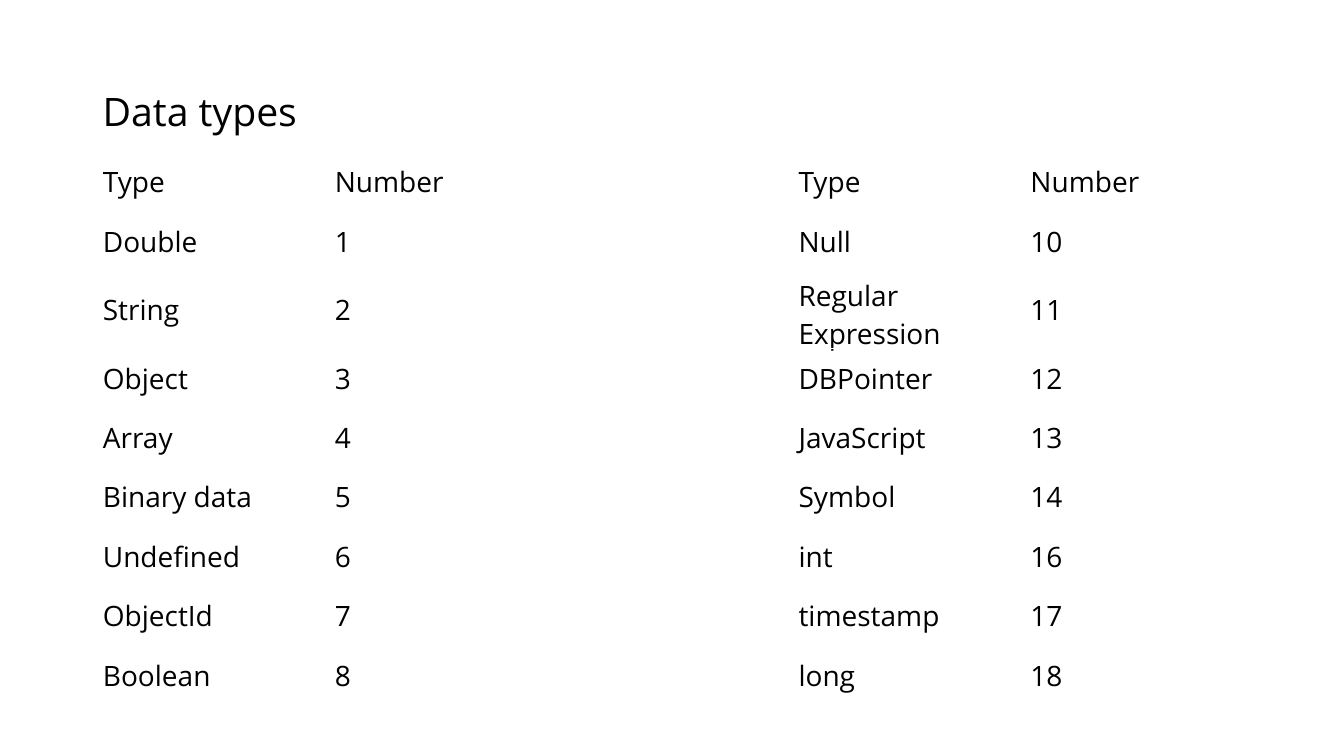
from dataclasses import dataclass
from typing import Any, NamedTuple

from pptx import Presentation
from pptx.dml.color import RGBColor as Color
from pptx.enum.text import MSO_ANCHOR as Anchor
from pptx.util import Inches, Pt


@dataclass(frozen=True)
class Theme:
    font: str = "Open Sans"
    ink: str = "000000"
    title: int = 28
    body: int = 20


@dataclass(frozen=True)
class Grid:
    left: float = 0.92
    top: float = 1.51
    col: float = 2.3
    row: float = 0.59
    cols: int = 5

    @property
    def width(self) -> float:
        return self.col * self.cols


class Kind(NamedTuple):
    name: str
    code: str


class Block(NamedTuple):
    col: int
    kinds: list[Kind]


THEME = Theme()
GRID = Grid()
HEAD = Kind("Type", "Number")
BLOCKS = [
    Block(0, [
        HEAD,
        Kind("Double", "1"),
        Kind("String", "2"),
        Kind("Object", "3"),
        Kind("Array", "4"),
        Kind("Binary data", "5"),
        Kind("Undefined", "6"),
        Kind("ObjectId", "7"),
        Kind("Boolean", "8"),
    ]),
    Block(3, [
        HEAD,
        Kind("Null", "10"),
        Kind("Regular Expression", "11"),
        Kind("DBPointer", "12"),
        Kind("JavaScript", "13"),
        Kind("Symbol", "14"),
        Kind("int", "16"),
        Kind("timestamp", "17"),
        Kind("long", "18"),
    ]),
]


def apply(item: Any, form: dict[str, Any]) -> None:
    for key, value in form.items():
        setattr(item, key, value)


def write(frame: Any, text: str, size: int) -> None:
    frame.text = text
    font = frame.paragraphs[0].runs[0].font
    apply(font, {"name": THEME.font, "size": Pt(size), "bold": False})
    font.color.rgb = Color.from_string(THEME.ink)


def title(slide: Any, text: str) -> None:
    box = slide.shapes.add_textbox(
        *map(Inches, (GRID.left, 0.4, GRID.width, 1.45)))
    frame = box.text_frame
    apply(frame, {"word_wrap": True, "vertical_anchor": Anchor.MIDDLE})
    write(frame, text, THEME.title)
    frame.paragraphs[0].line_spacing = 0.9


def table(slide: Any, blocks: list[Block]) -> None:
    rows = max(len(block.kinds) for block in blocks)
    area = (GRID.left, GRID.top, GRID.width, GRID.row * rows)
    grid = slide.shapes.add_table(rows, GRID.cols, *map(Inches, area)).table
    apply(grid, {"first_row": False, "horz_banding": False})
    for cell in grid.iter_cells():
        cell.fill.background()
        cell.vertical_anchor = Anchor.MIDDLE
    for block in blocks:
        for row, kind in enumerate(block.kinds):
            for col, text in enumerate(kind, block.col):
                write(grid.cell(row, col).text_frame, text, THEME.body)


def main() -> None:
    deck = Presentation()
    apply(deck, {"slide_width": Inches(13.33), "slide_height": Inches(7.5)})
    slide = deck.slides.add_slide(deck.slide_layouts[6])
    title(slide, "Data types")
    table(slide, BLOCKS)
    deck.save("out.pptx")


main()
